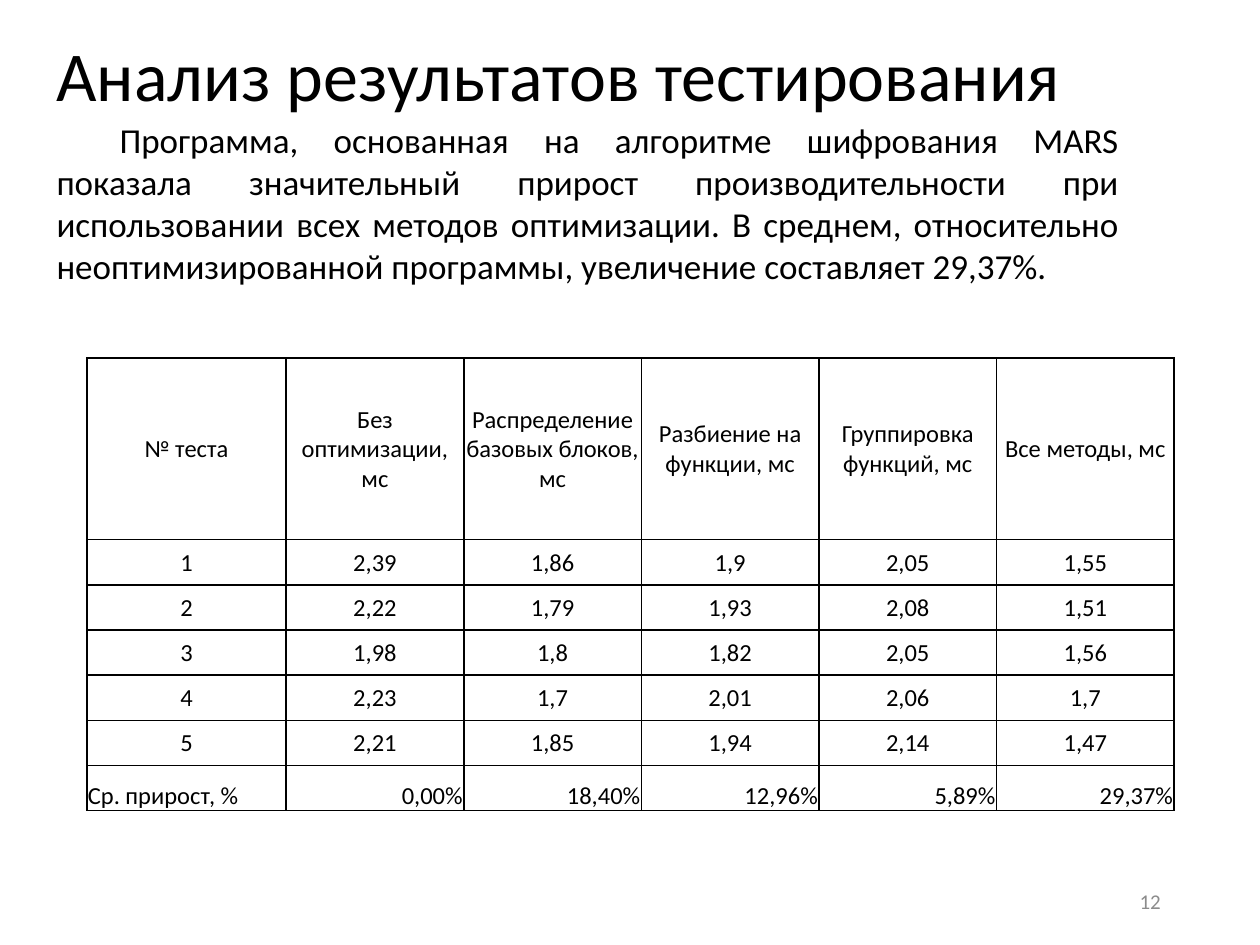
import pptx
import pptx.util
import pptx.dml.color
import pptx.enum.text
import pptx.oxml

Cm = pptx.util.Cm
Pt = pptx.util.Pt
Align = pptx.enum.text.PP_ALIGN
Anchor = pptx.enum.text.MSO_ANCHOR
BLACK = pptx.dml.color.RGBColor(0x00, 0x00, 0x00)
GREY = pptx.dml.color.RGBColor(0x8C, 0x8C, 0x8C)
NS = 'xmlns:a="http://schemas.openxmlformats.org/drawingml/2006/main"'


def write(para, text, size, align, color=BLACK):
    para.alignment = align
    run = para.add_run()
    run.text = text
    run.font.name = "Calibri"
    run.font.size = Pt(size)
    run.font.color.rgb = color


def add_box(left, top, width, height, anchor):
    box = slide.shapes.add_textbox(Cm(left), Cm(top), Cm(width), Cm(height))
    box.text_frame.word_wrap = True
    box.text_frame.vertical_anchor = anchor
    return box.text_frame.paragraphs[0]


deck = pptx.Presentation()
deck.slide_width = Cm(25.4)
deck.slide_height = Cm(19.05)
slide = deck.slides.add_slide(deck.slide_layouts[6])

# Page number
para = add_box(17.93, 17.65, 5.72, 1.02, Anchor.MIDDLE)
write(para, "12", 12, Align.RIGHT, GREY)

# Summary with an indented first line
para = add_box(0.89, 2.26, 21.92, 3.68, Anchor.TOP)
write(para, "Программа, основанная на алгоритме шифрования MARS показала "
      "значительный прирост производительности при использовании всех "
      "методов оптимизации. В среднем, относительно неоптимизированной "
      "программы, увеличение составляет 29,37%.", 20, Align.JUSTIFY)
para._p.get_or_add_pPr().set("indent", str(Cm(1.27)))

# Table of test results
rows = [
    ["№ теста", "Без оптимизации, мс", "Распределение базовых блоков, мс",
     "Разбиение на функции, мс", "Группировка функций, мс",
     "Все методы, мс"],
    ["1", "2,39", "1,86", "1,9", "2,05", "1,55"],
    ["2", "2,22", "1,79", "1,93", "2,08", "1,51"],
    ["3", "1,98", "1,8", "1,82", "2,05", "1,56"],
    ["4", "2,23", "1,7", "2,01", "2,06", "1,7"],
    ["5", "2,21", "1,85", "1,94", "2,14", "1,47"],
    ["Ср. прирост, %", "0,00%", "18,40%", "12,96%", "5,89%", "29,37%"],
]
last = len(rows) - 1
frame = slide.shapes.add_table(len(rows), len(rows[0]),
                               Cm(1.75), Cm(7.22), Cm(21.92), Cm(9.14))
table = frame.table
table.first_row = False
table.horz_banding = False
for c, col in enumerate(table.columns):
    col.width = Cm(4.02 if c == 0 else 3.58)
for r, row in enumerate(table.rows):
    row.height = Cm(3.66 if r == 0 else 0.91)

for r, row in enumerate(rows):
    for c, text in enumerate(row):
        cell = table.cell(r, c)
        cell.margin_left = cell.margin_right = cell.margin_top = Cm(0.02)
        cell.margin_bottom = 0
        cell.vertical_anchor = Anchor.BOTTOM if r == last else Anchor.MIDDLE
        align = Align.CENTER
        if r == last:
            align = Align.LEFT if c == 0 else Align.RIGHT
        write(cell.text_frame.paragraphs[0], text, 14, align)
        cell.fill.background()
        # Borders come before the fill
        for i, side in enumerate("LRTB"):
            line = pptx.oxml.parse_xml(
                f'<a:ln{side} {NS} w="{Pt(1)}"><a:solidFill>'
                f'<a:srgbClr val="{BLACK}"/></a:solidFill></a:ln{side}>')
            cell._tc.get_or_add_tcPr().insert(i, line)

# Title
para = add_box(0.89, 0.71, 21.89, 1.78, Anchor.MIDDLE)
write(para, "Анализ результатов тестирования", 40, Align.LEFT)
para.line_spacing = 0.9

deck.save("out.pptx")
